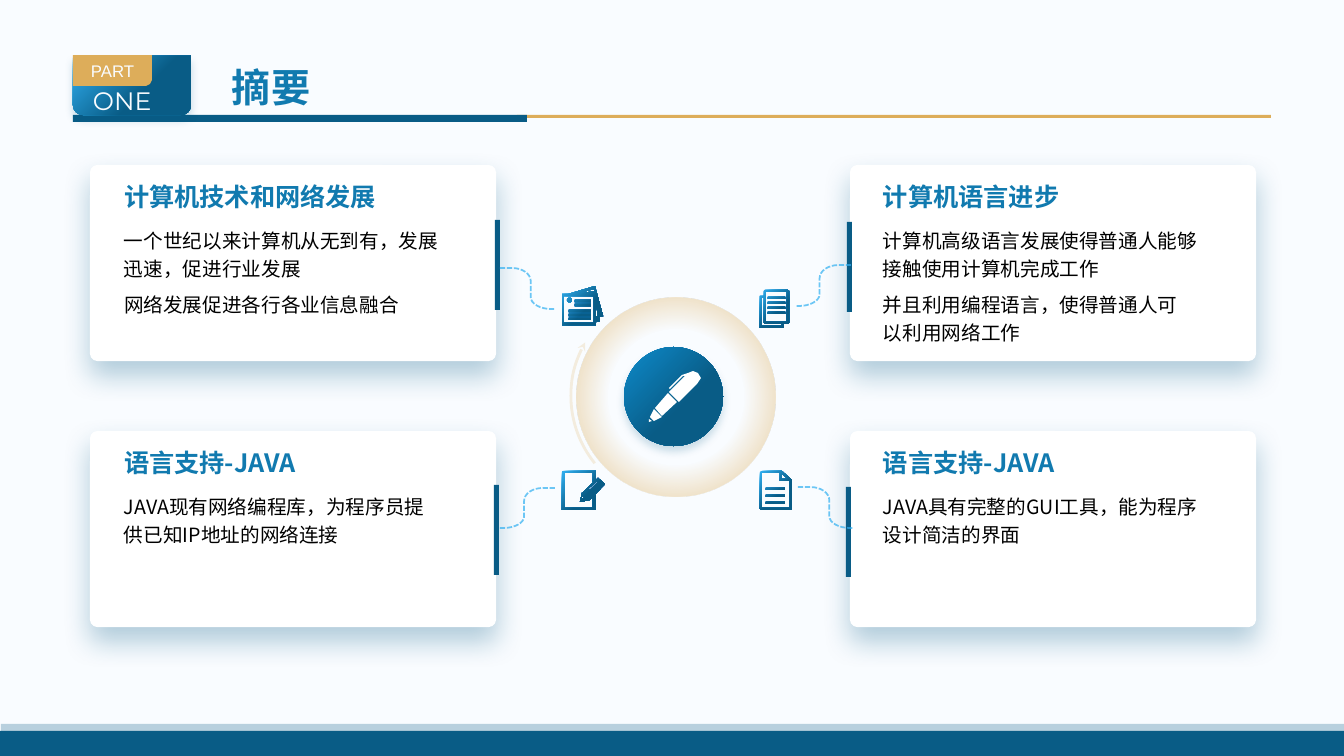
from math import cos, pi, sin

from lxml.etree import SubElement
from pptx import Presentation
from pptx.dml.color import RGBColor
from pptx.enum.dml import MSO_LINE
from pptx.enum.shapes import MSO_SHAPE
from pptx.enum.text import MSO_ANCHOR, MSO_AUTO_SIZE, PP_ALIGN
from pptx.oxml import parse_xml
from pptx.oxml.ns import nsdecls, qn
from pptx.util import Pt

PX = 914400 / 100.8
COLORS = {"paper": "F9FCFF", "white": "FFFFFF", "black": "000000", "gold": "DDAD5A",
          "navy": "095C86", "sky": "31B0F1", "blue": "0E8BCB", "title": "117AAF"}
CJK = "Noto Sans CJK SC"


def paint(shape, fill, alpha=100, shadow=None):
    shape.shadow.inherit = False
    shape.line.fill.background()
    if isinstance(fill, tuple):
        shape.fill.gradient()
        shape.fill.gradient_angle = 315
        for stop, color, position in zip(shape.fill.gradient_stops, fill, (0, 0.6)):
            stop.color.rgb = RGBColor.from_string(COLORS[color])
            stop.position = position
    else:
        shape.fill.solid()
        shape.fill.fore_color.rgb = RGBColor.from_string(COLORS[fill])
    if alpha < 100:
        for color in shape.element.spPr.iter(qn("a:srgbClr")):
            SubElement(color, qn("a:alpha"), val=str(alpha * 1000))
    if shadow:
        opacity, blur, distance = shadow
        shape.element.spPr.find(qn("a:effectLst")).append(parse_xml(
            f'<a:outerShdw {nsdecls("a")} blurRad="{Pt(blur)}" dist="{Pt(distance)}" '
            f'dir="5400000" algn="t" rotWithShape="0"><a:srgbClr val="{COLORS["navy"]}">'
            f'<a:alpha val="{opacity * 1000}"/></a:srgbClr></a:outerShdw>'))


def write(shape, text, size, color, font=CJK, bold=False, inset=0, spacing=None,
          align=PP_ALIGN.LEFT, anchor=MSO_ANCHOR.TOP):
    frame = shape.text_frame
    para = frame.paragraphs[0]
    span = para.add_run()
    inset = round(inset * PX)
    formats = (
        (frame, {"word_wrap": True, "auto_size": MSO_AUTO_SIZE.NONE, "vertical_anchor": anchor,
                 "margin_left": inset, "margin_right": inset,
                 "margin_top": inset // 2, "margin_bottom": inset // 2}),
        (para, {"alignment": align, "line_spacing": Pt(spacing) if spacing else 1.0}),
        (span, {"text": text}),
        (span.font, {"size": Pt(size), "bold": bold, "name": font}),
        (span.font.color, {"rgb": RGBColor.from_string(COLORS[color])}),
    )
    for target, values in formats:
        for name, value in values.items():
            setattr(target, name, value)
    for properties in shape.element.iter(qn("a:rPr")):
        SubElement(properties, qn("a:ea"), typeface=font)


deck = Presentation()
deck.slide_width, deck.slide_height = round(1344 * PX), round(756 * PX)
page = deck.slides.add_slide(deck.slide_layouts[5])
page.background.fill.solid()
page.background.fill.fore_color.rgb = RGBColor.from_string(COLORS["paper"])

title = page.shapes.title
for name, value in {"left": 224, "top": 59, "width": 363, "height": 55}.items():
    setattr(title, name, round(value * PX))
write(title, "摘要", 28, "title", bold=True, inset=8, anchor=MSO_ANCHOR.MIDDLE)

bands = [(517, 115, 754, 3, "gold", 100), (1, 724, 1343, 25, "navy", 27),
         (0, 731, 1344, 25, "navy", 100), (73, 115, 454, 7, "navy", 100)]
for *place, color, alpha in bands:
    band = page.shapes.add_shape(MSO_SHAPE.RECTANGLE, *[round(n * PX) for n in place])
    paint(band, color, alpha)

badge = page.shapes.add_shape(MSO_SHAPE.ROUND_2_SAME_RECTANGLE,
                              *[round(n * PX) for n in (73, 56, 118, 59)])
badge.adjustments[0], badge.adjustments[1] = 0, 0.17
paint(badge, ("sky", "navy"), shadow=(20, 6, 4))

halo = page.shapes.add_shape(MSO_SHAPE.OVAL, *[round(n * PX) for n in (577, 298, 199, 199)])
paint(halo, "gold")
stops = "".join(f'<a:gs pos="{position * 1000}"><a:srgbClr val="{COLORS["gold"]}">'
                f'<a:alpha val="{alpha * 1000}"/></a:srgbClr></a:gs>'
                for position, alpha in ((25, 0), (48, 0), (83, 49), (100, 0)))
solid = halo.element.spPr.find(qn("a:solidFill"))
solid.getparent().replace(solid, parse_xml(
    f'<a:gradFill {nsdecls("a")} rotWithShape="1"><a:gsLst>{stops}</a:gsLst><a:path path="circle">'
    '<a:fillToRect l="50000" t="50000" r="50000" b="50000"/></a:path></a:gradFill>'))

hub = page.shapes.add_shape(MSO_SHAPE.OVAL, *[round(n * PX) for n in (624, 347, 99, 99)])
paint(hub, ("blue", "navy"), shadow=(20, 6, 4))

orbit = page.shapes.add_shape(MSO_SHAPE.ARC, *[round(n * PX) for n in (571, 289, 214, 214)])
orbit.adjustments[0], orbit.adjustments[1] = 141 * 0.6, 210 * 0.6
orbit.shadow.inherit = False
orbit.fill.background()
orbit.line.width = Pt(2)
orbit.line.color.rgb = RGBColor.from_string(COLORS["gold"])
SubElement(orbit.element.spPr.find(".//" + qn("a:srgbClr")), qn("a:alpha"), val="20000")
SubElement(orbit.element.spPr.find(qn("a:ln")), qn("a:tailEnd"), type="stealth")

cards = [
    (90, 165, 495, 220, 124, "计算机技术和网络发展",
     ["一个世纪以来计算机从无到有，发展迅速，促进行业发展", "网络发展促进各行各业信息融合"]),
    (850, 165, 847, 222, 883, "计算机语言进步",
     ["计算机高级语言发展使得普通人能够接触使用计算机完成工作",
      "并且利用编程语言，使得普通人可以利用网络工作"]),
    (90, 431, 494, 485, 124, "语言支持-JAVA",
     ["JAVA现有网络编程库，为程序员提供已知IP地址的网络连接"]),
    (850, 431, 846, 487, 883, "语言支持-JAVA",
     ["JAVA具有完整的GUI工具，能为程序设计简洁的界面"]),
]
for left, top, bar_left, bar_top, text_left, heading, bodies in cards:
    group = page.shapes.add_group_shape()
    card = group.shapes.add_shape(MSO_SHAPE.ROUNDED_RECTANGLE,
                                  *[round(n * PX) for n in (left, top, 406, 196)])
    card.adjustments[0] = 0.037
    paint(card, "white", shadow=(30, 20, 10))
    bar = group.shapes.add_shape(MSO_SHAPE.RECTANGLE,
                                 *[round(n * PX) for n in (bar_left, bar_top, 5, 90)])
    paint(bar, "navy")
    box = group.shapes.add_textbox(*[round(n * PX) for n in (text_left, top + 13, 330, 30)])
    write(box, heading, 18, "title", bold=True, spacing=24)
    for body, offset, width in zip(bodies, (59, 123), (317, 311)):
        place = (text_left, top + offset, width, 56)
        box = group.shapes.add_textbox(*[round(n * PX) for n in place])
        write(box, body, 14, "black", spacing=20)

quarter = [step * pi / 16 for step in range(9)]
bend = ([(0, 0)] + [(0.22 + 0.34 * sin(t), 0.32 - 0.32 * cos(t)) for t in quarter]
        + [(0.93 - 0.37 * cos(t), 0.71 + 0.29 * sin(t)) for t in quarter] + [(1, 1)])
links = [(500, 268, 555, 309), (851, 265, 795, 306), (555, 488, 500, 528), (798, 487, 854, 528)]

news_lines = [[(x, y), (591, y), (591, y + 2), (x, y + 2)]
              for x, y in ((575, 300), (575, 304), (569, 310), (569, 314), (569, 318))]
copy_lines = [[(768, y), (785, y), (785, y + 2), (768, y + 2)] for y in range(297, 313, 5)]
file_lines = [[(766, y), (785, y), (785, y + 2), (766, y + 2)] for y in (488, 495, 502)]
icon_fill = ("sky", "navy")
outlines = {
    "part": ("gold", [[(73, 55), (152, 55), (152, 80), (150, 84), (146, 86), (73, 86)]]),
    "news": (icon_fill, [
        [(595, 286), (603, 316), (599, 317), (600, 321), (596, 322), (596, 325), (562, 325),
         (562, 294), (568, 294)],
        [(564, 296), (594, 296), (594, 323), (564, 323)],
        [(594, 289), (576, 294), (595, 291)],
        [(596, 304), (598, 316), (596, 316)],
        [(568, 298), (571, 298), (572, 300), (571, 302), (568, 302), (567, 300)]] + news_lines),
    "edit": (icon_fill, [
        [(562, 471), (596, 471), (596, 480), (593, 482), (593, 473), (565, 473), (565, 508),
         (593, 508), (593, 497), (596, 495), (596, 510), (562, 510)],
        [(580, 502), (582, 493), (598, 478), (605, 484), (590, 500)],
        [(588, 489), (597, 481), (598, 482), (590, 490)],
        [(582, 496), (585, 498), (582, 499)]]),
    "copies": (icon_fill, [
        [(764, 291), (765, 290), (788, 290), (789, 291), (789, 323), (788, 324), (765, 324),
         (764, 323)],
        [(766, 292), (787, 292), (787, 322), (766, 322)],
        [(760, 296), (764, 296), (764, 298), (762, 298), (762, 326), (782, 326), (782, 324),
         (784, 324), (784, 328), (760, 328)]] + copy_lines),
    "file": (icon_fill, [
        [(760, 472), (762, 471), (782, 471), (792, 480), (792, 509), (790, 510), (762, 510),
         (760, 509)],
        [(762, 473), (780, 473), (780, 481), (790, 481), (790, 508), (762, 508)],
        [(782, 474), (782, 479), (788, 479)]] + file_lines),
    "pen": ("white", [
        [(649, 419), (652, 421), (649, 422)],
        [(650, 417), (654, 409), (662, 417), (654, 421)],
        [(668, 393), (677, 402), (662, 416), (655, 408)],
        [(697, 384), (679, 402), (669, 392), (685, 376), (683, 376), (670, 389), (669, 388),
         (682, 375), (688, 373), (693, 371), (698, 373), (701, 378)]]),
}
for x1, y1, x2, y2 in links:
    outlines[x1, y1] = (None, [[(x1 + u * (x2 - x1), y1 + v * (y2 - y1)) for u, v in bend]])

drawn = {}
for name, (fill, contours) in outlines.items():
    contours = [[(round(x * PX), round(y * PX)) for x, y in contour] for contour in contours]
    builder = page.shapes.build_freeform(*contours[0][0])
    builder.add_line_segments(contours[0][1:], close=fill is not None)
    for contour in contours[1:]:
        builder.move_to(*contour[0])
        builder.add_line_segments(contour[1:], close=True)
    shape = drawn[name] = builder.convert_to_shape()
    if fill:
        paint(shape, fill)
        continue
    shape.shadow.inherit = False
    shape.fill.background()
    shape.line.color.rgb = RGBColor.from_string(COLORS["sky"])
    shape.line.width = Pt(1.25)
    shape.line.dash_style = MSO_LINE.SQUARE_DOT
    SubElement(shape.element.spPr.find(".//" + qn("a:srgbClr")), qn("a:alpha"), val="70000")

write(drawn["part"], "PART", 12, "paper", font="Arial", align=PP_ALIGN.CENTER,
      anchor=MSO_ANCHOR.MIDDLE)
number = page.shapes.add_textbox(*[round(n * PX) for n in (83, 86, 108, 28)])
write(number, "ONE", 18, "paper", font="Montserrat", inset=10, anchor=MSO_ANCHOR.MIDDLE)

deck.save("out.pptx")
